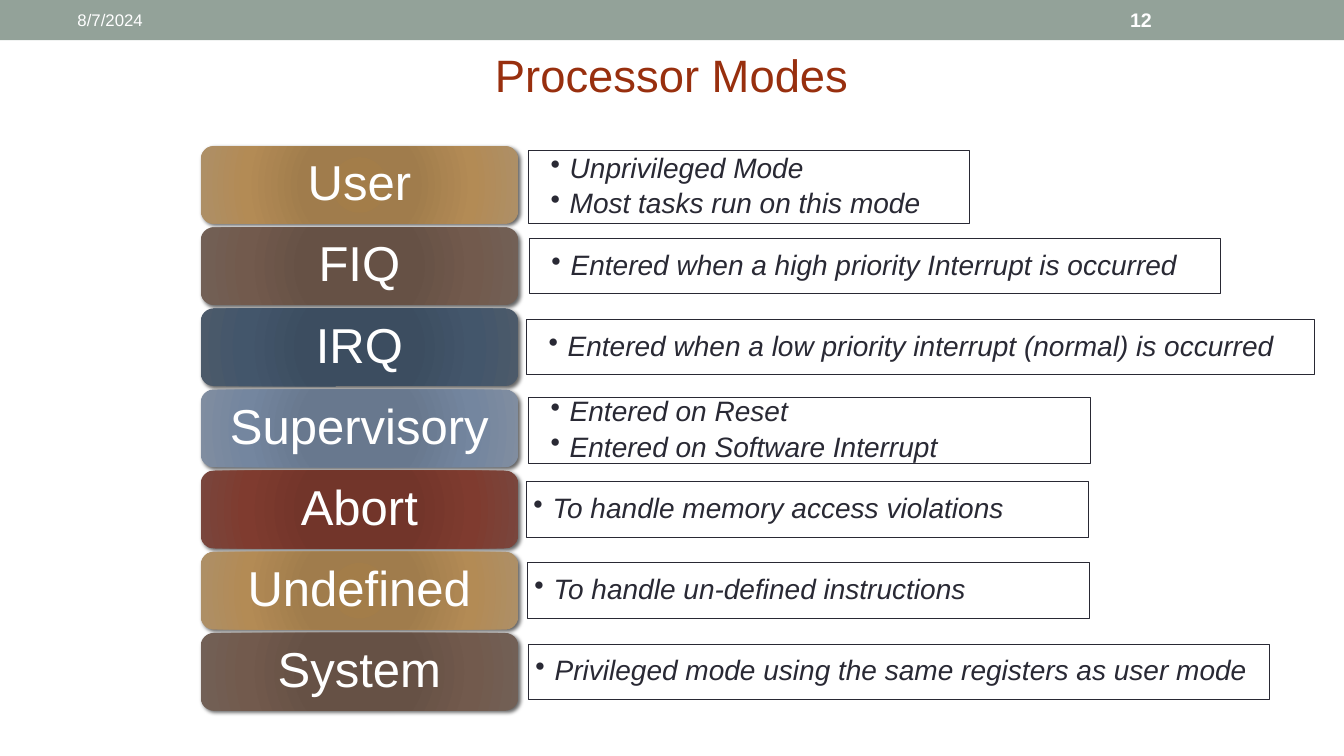
from dataclasses import dataclass

from lxml import etree
from pptx import Presentation
from pptx import util as u
from pptx.dml.color import RGBColor
from pptx.enum import shapes, text
from pptx.oxml import parse_xml
from pptx.oxml.ns import nsdecls, qn


@dataclass(frozen=True)
class Theme:
    font: str = "Arial"
    band: str = "93A299"
    title: str = "982F0E"
    ink: str = "292934"
    white: str = "FFFFFF"
    shadow: str = "000000"
    gold: tuple = ("A37D49", "A07C4C", "B38B55", "AD8F67")
    brown: tuple = ("685044", "665145", "725A4D", "726056")
    navy: tuple = ("3B4D61", "3C4D60", "43566B", "4C5A6A")
    steel: tuple = ("677790", "68788E", "74869F", "808DA0")
    rust: tuple = ("743327", "72352A", "7F3B2F", "79463D")
    title_size: float = 32.4
    label_size: float = 35
    detail_size: float = 20
    date_size: float = 12
    number_size: float = 14


THEME = Theme()
GRADIENT_STOPS = (0, 34, 70, 100)
FIRST_TOP, LAST_TOP = 1.45, 6.28
LABEL_LEFT, LABEL_WIDTH, LABEL_HEIGHT = 1.99, 3.15, 0.77
WIDE_INSETS = (0.22, 0.11)
NARROW_INSETS = (0.07, 0.03)

MODES = [
    ("User", THEME.gold, ["Unprivileged Mode", "Most tasks run on this mode"],
     (5.24, 4.38, 0.72), WIDE_INSETS),
    ("FIQ", THEME.brown, ["Entered when a high priority Interrupt is occurred"],
     (5.25, 6.86, 0.55), WIDE_INSETS),
    ("IRQ", THEME.navy, ["Entered when a low priority interrupt (normal) is occurred"],
     (5.22, 7.82, 0.55), WIDE_INSETS),
    ("Supervisory", THEME.steel, ["Entered on Reset", "Entered on Software Interrupt"],
     (5.24, 5.58, 0.66), WIDE_INSETS),
    ("Abort", THEME.rust, ["To handle memory access violations"],
     (5.22, 5.58, 0.55), NARROW_INSETS),
    ("Undefined", THEME.gold, ["To handle un-defined instructions"],
     (5.23, 5.58, 0.55), NARROW_INSETS),
    ("System", THEME.brown, ["Privileged mode using the same registers as user mode"],
     (5.24, 7.35, 0.55), NARROW_INSETS),
]


def rgb(color):
    return RGBColor.from_string(color)


def set_frame(box, insets):
    frame = box.text_frame
    frame.word_wrap = True
    frame.vertical_anchor = text.MSO_ANCHOR.MIDDLE
    frame.margin_left = frame.margin_right = u.Inches(insets[0])
    frame.margin_top = frame.margin_bottom = u.Inches(insets[1])
    return frame


def write(para, words, size, color, align=text.PP_ALIGN.LEFT, bold=False, italic=False):
    para.text = words
    para.alignment = align
    para.font.name = THEME.font
    para.font.size = u.Pt(size)
    para.font.bold = bold
    para.font.italic = italic
    para.font.color.rgb = rgb(color)


def add_text(page, area, words, size, color, **style):
    box = page.shapes.add_textbox(*map(u.Inches, area))
    frame = set_frame(box, (0.1, 0.05))
    write(frame.paragraphs[0], words, size, color, **style)


def add_box(page, kind, area):
    box = page.shapes.add_shape(kind, *map(u.Inches, area))
    box.shadow.inherit = False
    box.line.fill.background()
    return box


def add_band(page):
    band = add_box(page, shapes.MSO_SHAPE.RECTANGLE, (0, 0, 13.33, 0.4))
    band.fill.solid()
    band.fill.fore_color.rgb = rgb(THEME.band)


def set_radial_fill(box, colors):
    stops = "".join(
        f'<a:gs pos="{stop * 1000}"><a:srgbClr val="{color}"/></a:gs>'
        for stop, color in zip(GRADIENT_STOPS, colors))
    gradient = parse_xml(
        f'<a:gradFill {nsdecls("a")} rotWithShape="1"><a:gsLst>{stops}</a:gsLst>'
        '<a:path path="circle"><a:fillToRect l="100000" t="100000" r="100000" b="100000"/>'
        '</a:path></a:gradFill>')
    box.element.spPr.find(qn("a:prstGeom")).addnext(gradient)


def set_shadow(box):
    effects = box.element.spPr.find(qn("a:effectLst"))
    effects.append(parse_xml(
        f'<a:outerShdw {nsdecls("a")} blurRad="{u.Pt(3)}" dist="{u.Pt(2)}" dir="2700000" '
        f'rotWithShape="0"><a:srgbClr val="{THEME.shadow}"><a:alpha val="60000"/>'
        '</a:srgbClr></a:outerShdw>'))


def add_label(page, top, name, colors):
    label = add_box(page, shapes.MSO_SHAPE.ROUNDED_RECTANGLE,
                    (LABEL_LEFT, top, LABEL_WIDTH, LABEL_HEIGHT))
    set_radial_fill(label, colors)
    set_shadow(label)
    para = set_frame(label, (0.15, 0.07)).paragraphs[0]
    write(para, name, THEME.label_size, THEME.white, align=text.PP_ALIGN.CENTER)
    para.line_spacing = 0.9


def set_bullet(para):
    props = para._p.get_or_add_pPr()
    props.set("marL", str(u.Inches(0.19)))
    props.set("indent", str(-u.Inches(0.19)))
    etree.SubElement(props, qn("a:buChar")).set("char", "•")
    props.append(props.find(qn("a:defRPr")))


def add_details(page, area, lines, insets):
    box = add_box(page, shapes.MSO_SHAPE.RECTANGLE, area)
    box.fill.background()
    box.line.color.rgb = rgb(THEME.ink)
    box.line.width = u.Pt(0.75)
    frame = set_frame(box, insets)
    for index, line in enumerate(lines):
        para = frame.add_paragraph() if index else frame.paragraphs[0]
        write(para, line, THEME.detail_size, THEME.ink, italic=True)
        para.level = 1
        para.line_spacing = 0.9
        para.space_after = u.Pt(3.5)
        set_bullet(para)


def add_modes(page):
    pitch = (LAST_TOP - FIRST_TOP) / (len(MODES) - 1)
    for row, (name, colors, lines, (left, width, height), insets) in enumerate(MODES):
        top = FIRST_TOP + row * pitch
        nudge = 0.02 if len(lines) > 1 else 0
        detail_top = top + (LABEL_HEIGHT - height) / 2 + nudge
        add_details(page, (left, detail_top, width, height), lines, insets)
        add_label(page, top, name, colors)


def main():
    deck = Presentation()
    deck.slide_width, deck.slide_height = u.Inches(13.33), u.Inches(7.5)
    page = deck.slides.add_slide(deck.slide_layouts[6])
    add_band(page)
    add_text(page, (0.67, 0.58, 11.98, 0.31), "Processor Modes",
             THEME.title_size, THEME.title, align=text.PP_ALIGN.CENTER)
    add_text(page, (0.67, 0.02, 4.22, 0.36), "8/7/2024", THEME.date_size, THEME.white)
    add_text(page, (11.11, 0.02, 1.56, 0.36), "12",
             THEME.number_size, THEME.white, bold=True)
    add_modes(page)
    deck.save("out.pptx")


if __name__ == "__main__":
    main()
